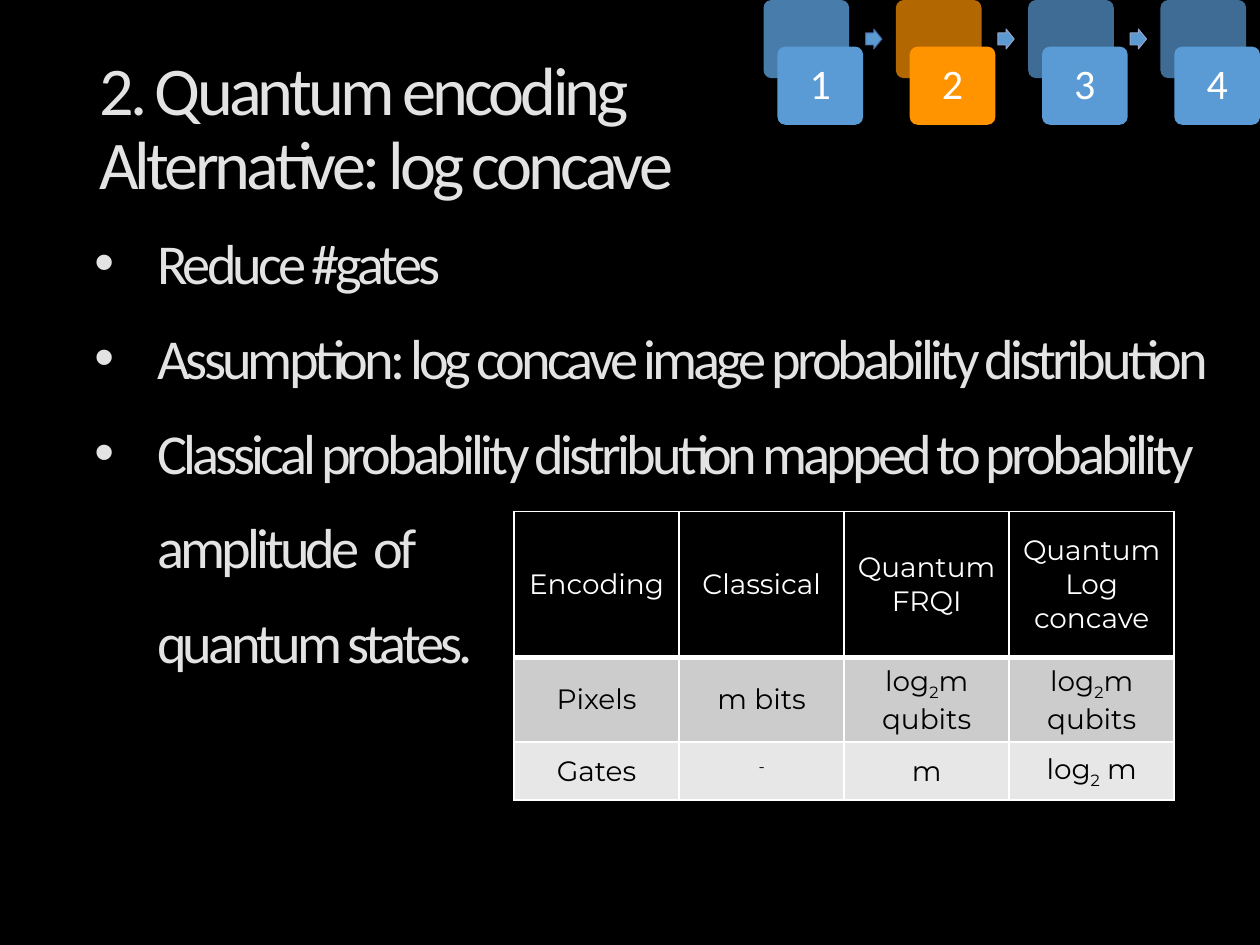
from lxml import etree
from pptx import Presentation
from pptx.dml.color import RGBColor
from pptx.enum.shapes import MSO_SHAPE
from pptx.enum.text import MSO_ANCHOR, PP_ALIGN
from pptx.oxml.ns import qn
from pptx.util import Inches, Pt

ROUNDED = MSO_SHAPE.ROUNDED_RECTANGLE
ARROW = MSO_SHAPE.RIGHT_ARROW
MIDDLE = MSO_ANCHOR.MIDDLE
TOP = MSO_ANCHOR.TOP
LEFT = PP_ALIGN.LEFT
CENTER = PP_ALIGN.CENTER

BLACK = RGBColor(0x00, 0x00, 0x00)
WHITE = RGBColor(0xFF, 0xFF, 0xFF)
SILVER = RGBColor(0xE3, 0xE3, 0xE3)
BLUE = RGBColor(0x5B, 0x9B, 0xD5)
ORANGE = RGBColor(0xFF, 0x93, 0x00)
ARROW_BLUE = RGBColor(0x5C, 0x9B, 0xD2)
ARROW_EDGE_DARK = RGBColor(0x47, 0x61, 0xA4)
ARROW_EDGE_LIGHT = RGBColor(0x99, 0xA4, 0xC9)
ROW_FILLS = [BLACK, RGBColor(0xCC, 0xCC, 0xCC), RGBColor(0xE7, 0xE7, 0xE7)]

TITLE = ["2. Quantum encoding", "Alternative: log concave"]
BULLETS = [
    "Reduce #gates",
    "Assumption: log concave image probability distribution",
    "Classical probability distribution mapped to probability",
]
CONTINUATION = ["amplitude  of", "quantum states."]
STEPS = [
    ("1", BLUE, 80, ARROW_EDGE_DARK),
    ("2", ORANGE, 70, ARROW_EDGE_LIGHT),
    ("3", BLUE, 70, ARROW_EDGE_LIGHT),
    ("4", BLUE, 70, None),
]
LOG2 = [("log", 0), ("2", -25)]
LOG_QUBITS = [LOG2 + [("m qubits", 0)]]
TABLE_ROWS = [
    [["Encoding"], ["Classical"], ["Quantum", "FRQI"], ["Quantum", "Log concave"]],
    [["Pixels"], ["m bits"], LOG_QUBITS, LOG_QUBITS],
    [["Gates"], [[("-", 30)]], ["m"], [LOG2 + [(" m", 0)]]],
]
ROW_HEIGHTS = [1.16, 0.58, 0.46]
COLUMN_WIDTH = 1.31
STEP_LEFT, STEP_PITCH = 6.06, 1.05
STEP_WIDTH, STEP_HEIGHT = 0.68, 0.62


def write_text(frame, paragraphs, *, size, color, font="Calibri", align=LEFT,
               anchor=TOP, line_spacing=None, tracking=None, indent=0, bullets=0):
    frame.word_wrap = True
    frame.vertical_anchor = anchor
    for index, content in enumerate(paragraphs):
        paragraph = frame.paragraphs[0] if index == 0 else frame.add_paragraph()
        paragraph.alignment = align
        if line_spacing:
            paragraph.line_spacing = line_spacing
        if indent:
            properties = paragraph._p.get_or_add_pPr()
            properties.set("marL", str(Inches(indent)))
            if index < bullets:
                properties.set("indent", str(-Inches(indent)))
                etree.SubElement(properties, qn("a:buFont"), typeface="Arial")
                etree.SubElement(properties, qn("a:buChar"), char="•")
        for text, baseline in [(content, 0)] if isinstance(content, str) else content:
            run = paragraph.add_run()
            run.text = text
            run.font.size = Pt(size)
            run.font.name = font
            run.font.color.rgb = color
            if baseline:
                run.font._element.set("baseline", str(baseline * 1000))
            if tracking:
                run.font._element.set("spc", str(round(tracking * 100)))


def add_text_box(slide, box, paragraphs, **text_format):
    shape = slide.shapes.add_textbox(*map(Inches, box))
    write_text(shape.text_frame, paragraphs, **text_format)


def add_filled_shape(slide, kind, box, adjustment, color, alpha=None, edge=None):
    shape = slide.shapes.add_shape(kind, *map(Inches, box))
    shape.shadow.inherit = False
    shape.adjustments[0] = adjustment
    shape.fill.solid()
    shape.fill.fore_color.rgb = color
    if alpha:
        fill_color = shape._element.spPr.find(".//" + qn("a:srgbClr"))
        etree.SubElement(fill_color, qn("a:alpha"), val=str(alpha * 1000))
    if edge:
        shape.line.color.rgb = edge
        shape.line.width = Pt(0.5)
    else:
        shape.line.fill.background()
    return shape


def add_step(slide, left, label, color, alpha, arrow_edge):
    add_filled_shape(slide, ROUNDED, (left, 0, STEP_WIDTH, STEP_HEIGHT), 0.1, color, alpha)
    front = add_filled_shape(
        slide, ROUNDED, (left + 0.11, 0.37, STEP_WIDTH, STEP_HEIGHT), 0.1, color)
    write_text(front.text_frame, [label], size=24, color=WHITE, align=CENTER,
               anchor=MIDDLE, line_spacing=0.9)
    if arrow_edge:
        add_filled_shape(slide, ARROW, (left + 0.81, 0.23, 0.13, 0.16), 0.6,
                         ARROW_BLUE, edge=arrow_edge)


def set_borders(cell, widths):
    properties = cell._tc.get_or_add_tcPr()
    for position, (side, width) in enumerate(zip("LRTB", widths)):
        line = etree.Element(qn("a:ln" + side), w=str(Pt(width)))
        fill = etree.SubElement(line, qn("a:solidFill"))
        etree.SubElement(fill, qn("a:srgbClr"), val=str(WHITE))
        properties.insert(position, line)


def add_encoding_table(slide, left, top):
    column_count = len(TABLE_ROWS[0])
    table = slide.shapes.add_table(
        len(TABLE_ROWS), column_count, Inches(left), Inches(top),
        Inches(COLUMN_WIDTH * column_count), Inches(sum(ROW_HEIGHTS))).table
    for column in table.columns:
        column.width = Inches(COLUMN_WIDTH)
    for row_index, row in enumerate(TABLE_ROWS):
        table.rows[row_index].height = Inches(ROW_HEIGHTS[row_index])
        for column_index, paragraphs in enumerate(row):
            cell = table.cell(row_index, column_index)
            cell.vertical_anchor = MIDDLE
            cell.fill.solid()
            cell.fill.fore_color.rgb = ROW_FILLS[row_index]
            write_text(cell.text_frame, paragraphs, size=16, font="Montserrat",
                       color=BLACK if row_index else WHITE, align=CENTER)
            cell.text_frame.word_wrap = None
            cell.text_frame.vertical_anchor = None
            set_borders(cell, (1, 1, 3 if row_index == 1 else 1, 3 if row_index == 0 else 1))


def main():
    presentation = Presentation()
    presentation.slide_width = Inches(10)
    presentation.slide_height = Inches(7.5)
    slide = presentation.slides.add_slide(presentation.slide_layouts[6])
    slide.background.fill.solid()
    slide.background.fill.fore_color.rgb = BLACK

    add_text_box(slide, (0.69, 0.4, 8.62, 1.54), TITLE, size=39, color=SILVER,
                 line_spacing=0.9, tracking=-2.2)
    for index, step in enumerate(STEPS):
        add_step(slide, STEP_LEFT + index * STEP_PITCH, *step)
    add_text_box(slide, (0.65, 1.55, 9.12, 3.84), BULLETS + CONTINUATION, size=32.2,
                 color=SILVER, line_spacing=1.4, tracking=-2.2, indent=0.5,
                 bullets=len(BULLETS))
    add_encoding_table(slide, 4.08, 4.06)
    presentation.save("out.pptx")


if __name__ == "__main__":
    main()
